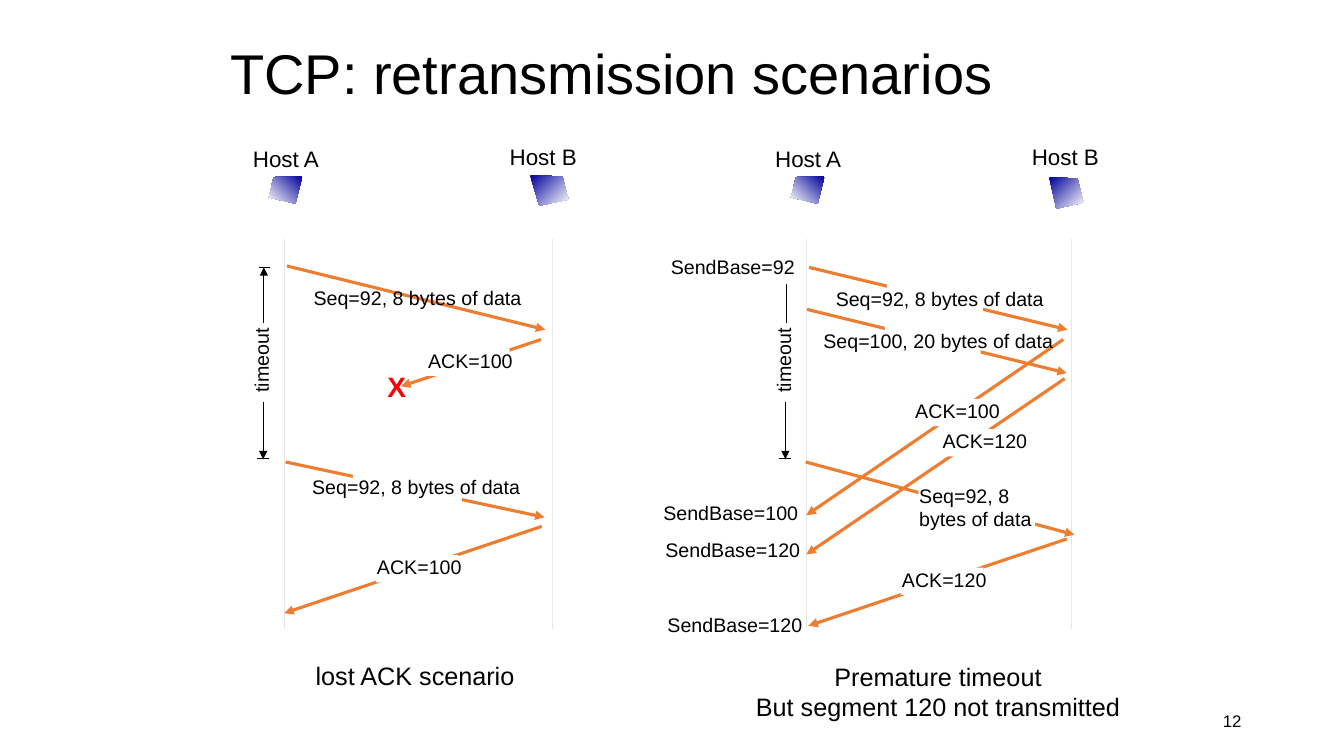
from dataclasses import dataclass

from lxml import etree
from pptx import Presentation
from pptx.dml.color import RGBColor
from pptx.enum.shapes import MSO_CONNECTOR, MSO_SHAPE
from pptx.enum.text import MSO_ANCHOR, PP_ALIGN
from pptx.oxml.ns import qn
from pptx.util import Pt

STRAIGHT = MSO_CONNECTOR.STRAIGHT
RECTANGLE = MSO_SHAPE.RECTANGLE
TOP, MIDDLE = MSO_ANCHOR.TOP, MSO_ANCHOR.MIDDLE
LEFT, CENTER, RIGHT = PP_ALIGN.LEFT, PP_ALIGN.CENTER, PP_ALIGN.RIGHT


@dataclass(frozen=True)
class Theme:
    font: str = "Arial"
    ink: str = "000000"
    paper: str = "FFFFFF"
    message: str = "ED7D31"
    lifeline: str = "E7E6E6"
    loss: str = "FF0000"
    screen: str = "000099"
    title_size: float = 40
    loss_size: float = 20
    caption_size: float = 18
    host_size: float = 16
    label_size: float = 14
    number_size: float = 12
    message_width: float = 2.25
    thin_width: float = 0.75


THEME = Theme()
SCENARIO_GAP = 373
LABEL_HEIGHT = 24


def rgb(code):
    return RGBColor.from_string(code)


def letter_width(letter):
    if letter in " ,":
        return 0.28
    return 0.72 if letter.isupper() else 0.56


def add_text(page, lines, frame, size, align=CENTER, anchor=TOP, color=THEME.ink,
             bold=False, spacing=None, vertical=None):
    box = page.shapes.add_textbox(*(Pt(value) for value in frame))
    body = box.text_frame
    body.word_wrap = False
    body.vertical_anchor = anchor
    if vertical:
        body._txBody.bodyPr.set("vert", vertical)
    for index, line in enumerate(lines):
        para = body.add_paragraph() if index else body.paragraphs[0]
        para.alignment = align
        if spacing:
            para.line_spacing = spacing
        span = para.add_run()
        span.text = line
        span.font.name = THEME.font
        span.font.size = Pt(size)
        span.font.bold = bold
        span.font.color.rgb = rgb(color)


def add_label(page, text, center, top, size=THEME.label_size, **style):
    width = sum(map(letter_width, text)) * size + 14.4
    add_text(page, [text], (center - width / 2, top, width, LABEL_HEIGHT), size, **style)


def add_mask(page, frame):
    mask = page.shapes.add_shape(RECTANGLE, *(Pt(value) for value in frame))
    mask.shadow.inherit = False
    mask.fill.solid()
    mask.fill.fore_color.rgb = rgb(THEME.paper)
    mask.line.fill.background()


def add_line(page, start, end, color=THEME.ink, width=THEME.thin_width, arrow=False):
    line = page.shapes.add_connector(STRAIGHT, *(Pt(value) for value in (*start, *end)))
    line.line.color.rgb = rgb(color)
    line.line.width = Pt(width)
    properties = line._element.spPr
    if arrow:
        etree.SubElement(properties.find(qn("a:ln")), qn("a:tailEnd"), type="triangle")
    etree.SubElement(properties, qn("a:effectLst"))


def add_message(page, start, end):
    add_line(page, start, end, THEME.message, THEME.message_width, arrow=True)


def add_segment(page, start, end, text, center, top, mask=None):
    add_message(page, start, end)
    if mask:
        add_mask(page, mask)
    add_label(page, text, center, top)


def add_ack(page, start, end, number, center, top):
    mask = (center - 31, top + 3.5, 59, 19.5)
    add_segment(page, start, end, f"ACK={number}", center, top, mask)


def add_screen(page, corners, angle):
    points = [(Pt(x), Pt(y)) for x, y in corners]
    builder = page.shapes.build_freeform(*points[0], scale=1.0)
    builder.add_line_segments(points[1:], close=True)
    screen = builder.convert_to_shape()
    screen.shadow.inherit = False
    screen.line.fill.background()
    screen.fill.gradient()
    screen.fill.gradient_angle = angle
    for stop, color in zip(screen.fill.gradient_stops, (THEME.screen, THEME.paper)):
        stop.color.rgb = rgb(color)


def add_hosts(page, left, right, screen_b):
    add_label(page, "Host A", left + 1.2, 100, THEME.host_size)
    add_label(page, "Host B", left + 185, 99, THEME.host_size)
    screen_a = [(13, 126), (-7.5, 126.5), (-11, 141), (8, 145.5)]
    add_screen(page, [(left + x, y) for x, y in screen_a], 225)
    add_screen(page, screen_b, 315)
    for x in (left, right):
        add_line(page, (x, 171), (x, 449.5), THEME.lifeline)


def add_timeout(page, left):
    add_text(page, ["timeout"], (left - 32.5, 231, 32, 53), THEME.label_size,
             anchor=MIDDLE, vertical="vert270")
    add_line(page, (left - 14.5, 231), (left - 14.5, 191), arrow=True)
    add_line(page, (left - 15, 287.5), (left - 15, 328), arrow=True)
    add_line(page, (left - 19.5, 327.5), (left - 11, 327.5))


def add_lost_ack(page, left):
    add_hosts(page, left, 394.5, [(378.7, 125.3), (401.8, 126), (406, 142.6), (385.2, 146.9)])
    add_timeout(page, left)
    add_line(page, (left - 18, 191), (left - 10, 191))
    data = "Seq=92, 8 bytes of data"
    add_segment(page, (205, 190), (389.5, 235.5), data, 298.3, 201)
    add_ack(page, (386.5, 242.5), (286.5, 276), 100, 336, 245.5)
    add_segment(page, (204, 330), (389, 369.5), data, 297.3, 335.5, (252, 329, 78, 34))
    add_ack(page, (387, 376), (203, 438), 100, 299.5, 393)
    add_label(page, "X", 283.5, 260.5, THEME.loss_size, color=THEME.loss, bold=True)
    add_text(page, ["lost ACK scenario"], (217.5, 468, 158, 29), THEME.caption_size)


def add_premature_timeout(page, left):
    add_hosts(page, left, 765.5, [(749.5, 126.7), (769.7, 127.4), (774, 144.7), (754.6, 149)])
    add_timeout(page, left)
    add_message(page, (575.5, 330), (767.5, 382))
    add_mask(page, (656, 339, 83.5, 40.5))
    add_text(page, ["Seq=92, 8", "bytes of data"], (649.5, 342, 96.5, 41),
             THEME.label_size, align=LEFT)
    add_segment(page, (578, 191), (762.5, 235.5), "Seq=92, 8 bytes of data",
                671.3, 201.5, (633.5, 197.5, 68.5, 31.5))
    add_ack(page, (759.5, 242.5), (576, 368), 100, 684, 281.5)
    add_ack(page, (762, 385), (577.5, 447), 120, 674.5, 402)
    add_segment(page, (576.5, 221), (762, 266.5), "Seq=100, 20 bytes of data",
                670.3, 231.5, (632, 227.5, 68.5, 31.5))
    add_ack(page, (760.5, 270.5), (576, 396), 120, 703.5, 303)
    add_mask(page, (471.5, 178.5, 104, 24.5))
    bases = [(92, 523.5, 178.5), (100, 522, 354.5), (120, 523.5, 381), (120, 525, 434)]
    for number, center, top in bases:
        add_label(page, f"SendBase={number}", center, top)
    add_text(page, ["Premature timeout", "But segment 120 not transmitted"],
             (531.5, 468.5, 277, 51), THEME.caption_size)


def main():
    deck = Presentation()
    deck.slide_width, deck.slide_height = Pt(960), Pt(540)
    page = deck.slides.add_slide(deck.slide_layouts[6])
    add_text(page, ["TCP: retransmission scenarios"], (157.5, 18.5, 612, 71.5),
             THEME.title_size, align=LEFT, anchor=MIDDLE, spacing=0.9)
    add_lost_ack(page, 203)
    add_premature_timeout(page, 203 + SCENARIO_GAP)
    add_text(page, ["12"], (678, 500.5, 216, 29), THEME.number_size,
             align=RIGHT, anchor=MIDDLE)
    deck.save("out.pptx")


if __name__ == "__main__":
    main()
